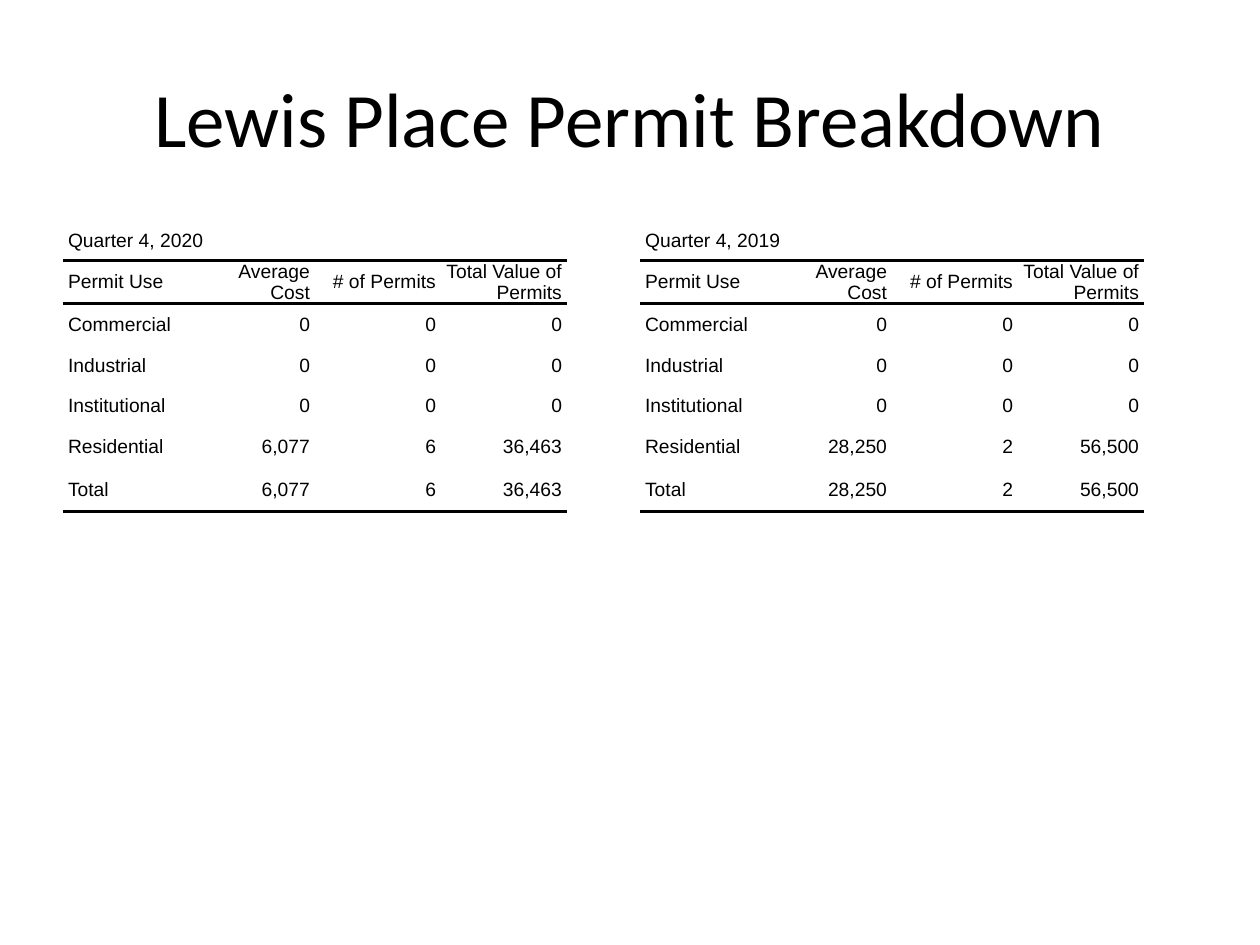
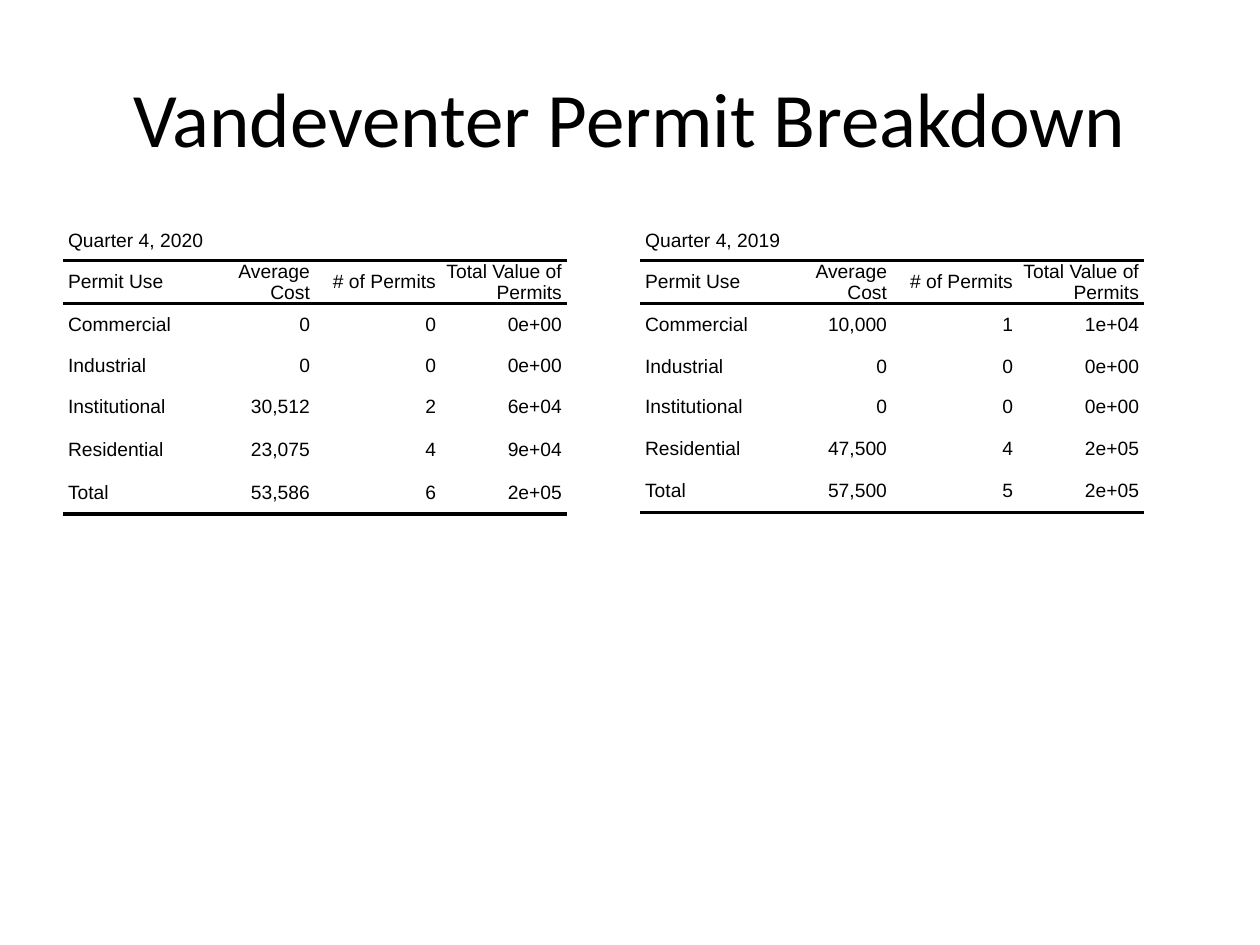
"""Build the neighbourhood permit breakdown slides."""

from dataclasses import dataclass

from lxml.etree import SubElement
from pptx import Presentation
from pptx.dml.color import RGBColor
from pptx.enum.text import MSO_ANCHOR as Anchor, PP_ALIGN as Align
from pptx.oxml.ns import qn
from pptx.presentation import Presentation as Deck
from pptx.slide import Slide
from pptx.table import Table, _Cell as Cell
from pptx.text.text import _Paragraph as Paragraph
from pptx.util import Inches, Pt

BLACK = RGBColor(0x00, 0x00, 0x00)
TITLE_FONT, TABLE_FONT = "Calibri", "Arial"
NO_STYLE = "{2D5ABB26-0587-4C30-8999-92F81FD0307C}"

TABLE_TOP = Inches(1.75)
COLUMN_WIDTH = Inches(1)
CELL_MARGIN = Inches(0.04)
PLAIN_HEIGHT, FIRST_USE_HEIGHT, TALL_HEIGHT = Inches(0.32), Inches(0.33), Inches(0.34)
RULE_WIDTH = Pt(2)

HEADINGS = ("Permit Use", "Average Cost", "# of Permits", "Total Value of Permits")
USES = ("Commercial", "Industrial", "Institutional", "Residential", "Total")
HEADING_ROW, FIRST_USE_ROW, TOTAL_ROW = 1, 2, 1 + len(USES)
RULED_EDGES = {HEADING_ROW: ("a:lnT", "a:lnB"), TOTAL_ROW: ("a:lnB",)}

Figures = tuple[str, str, str]
NONE: Figures = ("0", "0", "0")
NONE_SCIENTIFIC: Figures = ("0", "0", "0e+00")


@dataclass(frozen=True)
class Quarter:
    """Permit figures of one quarter, one entry per use."""

    year: int
    left: Inches
    figures: tuple[Figures, ...]


@dataclass(frozen=True)
class Neighbourhood:
    """A neighbourhood with the two quarters compared."""

    name: str
    quarters: tuple[Quarter, Quarter]


def compare(name: str, current: tuple[Figures, ...], previous: tuple[Figures, ...]) -> Neighbourhood:
    """Pair the current quarter with the one a year before."""
    return Neighbourhood(name, (Quarter(2020, Inches(0.5), current),
                                Quarter(2019, Inches(5.08), previous)))


NEIGHBOURHOODS = (
    compare(
        "Lewis Place",
        (NONE, NONE, NONE, ("6,077", "6", "36,463"), ("6,077", "6", "36,463")),
        (NONE, NONE, NONE, ("28,250", "2", "56,500"), ("28,250", "2", "56,500")),
    ),
    compare(
        "Vandeventer",
        (NONE_SCIENTIFIC, NONE_SCIENTIFIC, ("30,512", "2", "6e+04"),
         ("23,075", "4", "9e+04"), ("53,586", "6", "2e+05")),
        (("10,000", "1", "1e+04"), NONE_SCIENTIFIC, NONE_SCIENTIFIC,
         ("47,500", "4", "2e+05"), ("57,500", "5", "2e+05")),
    ),
)


def style_text(paragraph: Paragraph, font: str, size: int, align: Align) -> None:
    """Set the font and alignment of a paragraph."""
    paragraph.alignment = align
    paragraph.font.name = font
    paragraph.font.size = Pt(size)
    paragraph.font.color.rgb = BLACK


def draw_rule(cell: Cell, edge: str) -> None:
    """Draw a black rule along one edge of a cell."""
    line = SubElement(cell._tc.get_or_add_tcPr(), qn(edge), w=str(RULE_WIDTH))
    fill = SubElement(line, qn("a:solidFill"))
    SubElement(fill, qn("a:srgbClr"), val=str(BLACK))


def fill_cell(cell: Cell, text: str, align: Align, edges: tuple[str, ...]) -> None:
    """Write a cell and rule its edges."""
    cell.text = text
    cell.vertical_anchor = Anchor.MIDDLE
    cell.margin_left = cell.margin_right = CELL_MARGIN
    cell.margin_top = cell.margin_bottom = 0
    for edge in edges:
        draw_rule(cell, edge)
    cell.fill.background()
    style_text(cell.text_frame.paragraphs[0], TABLE_FONT, 11, align)


def row_height(row: int, texts: tuple[str, ...]) -> Inches:
    """Give rows with figures in the thousands more height."""
    if any("," in text for text in texts[1:]):
        return TALL_HEIGHT
    return FIRST_USE_HEIGHT if row == FIRST_USE_ROW else PLAIN_HEIGHT


def clear_style(table: Table) -> None:
    """Remove the banding and style of a new table."""
    table.first_row = table.horz_banding = False
    table._tbl.tblPr.find(qn("a:tableStyleId")).text = NO_STYLE


def add_quarter(slide: Slide, quarter: Quarter) -> None:
    """Add the permit table of one quarter."""
    rows = [(f"Quarter 4, {quarter.year}",), HEADINGS]
    rows += [(use, *figures) for use, figures in zip(USES, quarter.figures)]
    table = slide.shapes.add_table(
        len(rows), len(HEADINGS), quarter.left, TABLE_TOP,
        COLUMN_WIDTH * len(HEADINGS), PLAIN_HEIGHT * len(rows)).table
    clear_style(table)
    for column in table.columns:
        column.width = COLUMN_WIDTH
    table.cell(0, 0).merge(table.cell(0, len(HEADINGS) - 1))
    for row, texts in enumerate(rows):
        table.rows[row].height = row_height(row, texts)
        for column, text in enumerate(texts):
            align = Align.RIGHT if column else Align.LEFT
            fill_cell(table.cell(row, column), text, align, RULED_EDGES.get(row, ()))


def add_neighbourhood(deck: Deck, neighbourhood: Neighbourhood) -> None:
    """Add the slide of one neighbourhood."""
    slide = deck.slides.add_slide(deck.slide_layouts.get_by_name("Title Only"))
    title = slide.shapes.title
    title.left, title.top, title.width, title.height = map(Inches, (0.5, 0.3, 9, 1.25))
    title.text_frame.text = f"{neighbourhood.name} Permit Breakdown"
    title.text_frame.vertical_anchor = Anchor.MIDDLE
    style_text(title.text_frame.paragraphs[0], TITLE_FONT, 44, Align.CENTER)
    for quarter in neighbourhood.quarters:
        add_quarter(slide, quarter)


def main() -> None:
    """Build and save the deck."""
    deck = Presentation()
    deck.slide_width, deck.slide_height = Inches(10), Inches(7.5)
    for neighbourhood in NEIGHBOURHOODS:
        add_neighbourhood(deck, neighbourhood)
    deck.save("out.pptx")


if __name__ == "__main__":
    main()
